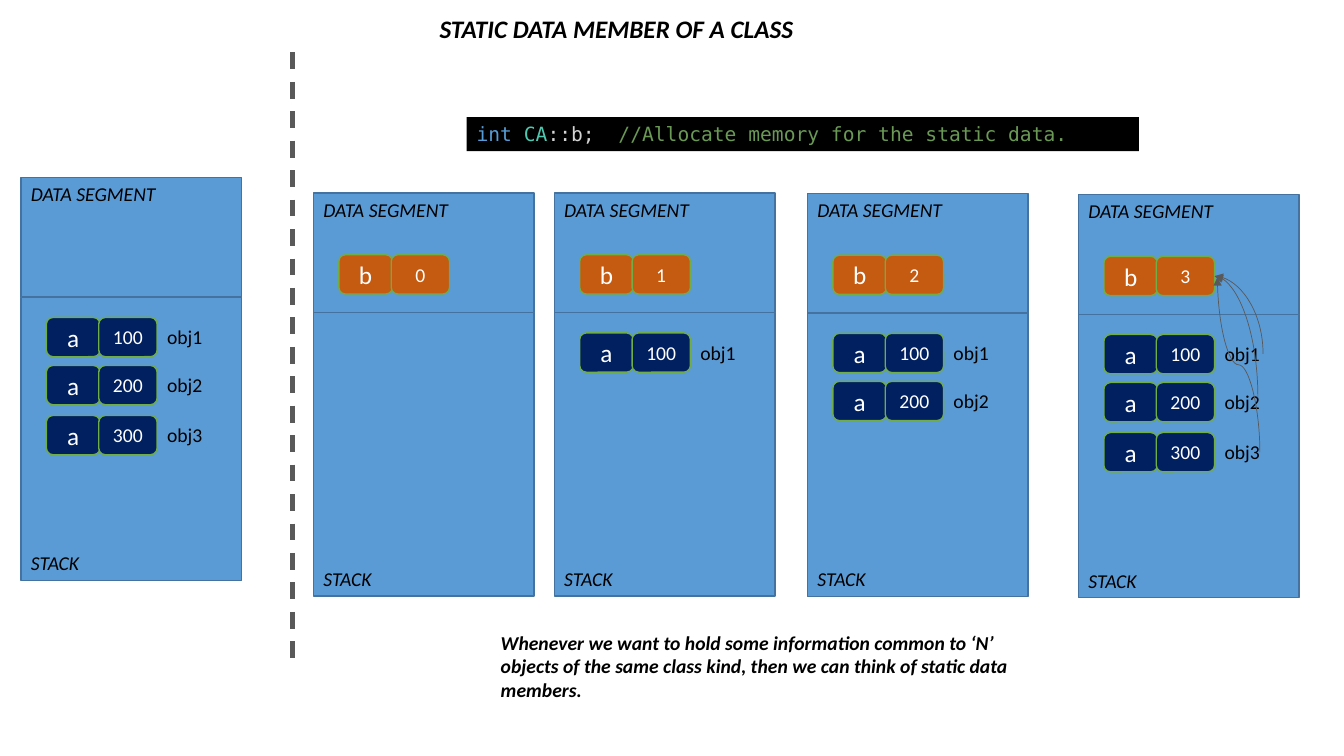
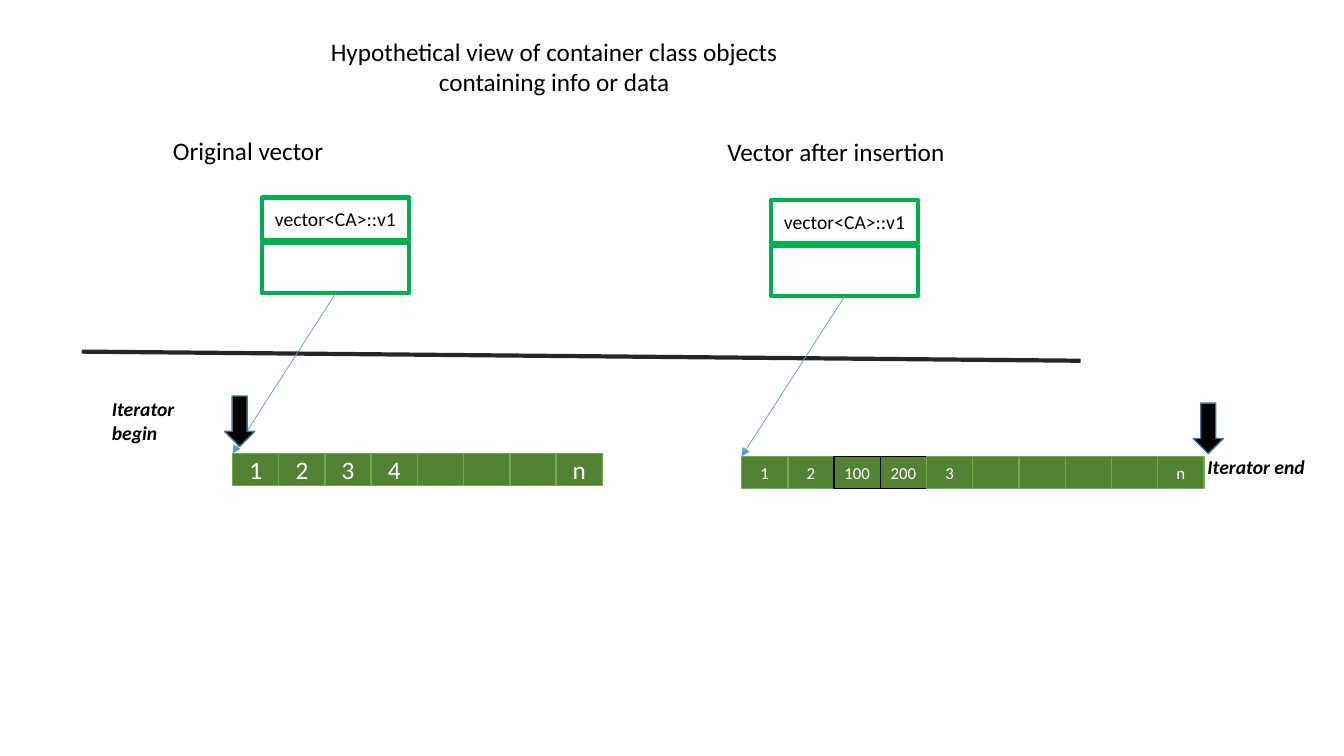
from pptx import Presentation
from pptx.dml.color import RGBColor
from pptx.enum.dml import MSO_LINE
from pptx.enum.shapes import MSO_CONNECTOR, MSO_SHAPE
from pptx.enum.text import MSO_ANCHOR, MSO_AUTO_SIZE, PP_ALIGN
from pptx.oxml.ns import qn
from pptx.util import Cm, Pt
from lxml.etree import SubElement

BLACK = RGBColor(0x00, 0x00, 0x00)
WHITE = RGBColor(0xFF, 0xFF, 0xFF)
BLUE = RGBColor(0x5B, 0x9B, 0xD5)
EDGE = RGBColor(0x43, 0x73, 0x9E)
NAVY = RGBColor(0x00, 0x20, 0x60)
RUST = RGBColor(0xC5, 0x5A, 0x11)
LIME = RGBColor(0x70, 0xAD, 0x47)
GREEN = RGBColor(0x00, 0xB0, 0x50)
MOSS = RGBColor(0x54, 0x82, 0x35)
GRAY = RGBColor(0x59, 0x59, 0x59)
DARK = RGBColor(0x26, 0x26, 0x26)
KEY = RGBColor(0x56, 0x9C, 0xD6)
TYPE = RGBColor(0x4E, 0xC9, 0xB0)
PLAIN = RGBColor(0xD4, 0xD4, 0xD4)
NOTE = RGBColor(0x6A, 0x99, 0x55)

RECT = MSO_SHAPE.RECTANGLE
ROUND = MSO_SHAPE.ROUNDED_RECTANGLE
DOWN = MSO_SHAPE.DOWN_ARROW


class Deck:
    font = "Calibri"
    mono = "DejaVu Sans Mono"

    def __init__(self):
        self.show = Presentation()
        self.show.slide_width = Cm(33.87)
        self.show.slide_height = Cm(19.05)
        self.slide = None

    def style(self, run, size, color, bold=False, slant=False, font=None):
        run.font.name = font or self.font
        run.font.size = Pt(size)
        run.font.color.rgb = color
        run.font.bold = bold
        run.font.italic = slant

    def fill_text(self, shape, text, size, color, align, anchor, bold=False, slant=False):
        frame = shape.text_frame
        frame.word_wrap = True
        frame.auto_size = MSO_AUTO_SIZE.NONE
        frame.vertical_anchor = anchor
        frame.text = text
        for para in frame.paragraphs:
            para.alignment = align
            for run in para.runs:
                self.style(run, size, color, bold, slant)

    def start(self, text, x, y, w, h, bold=False, slant=False):
        self.slide = self.show.slides.add_slide(self.show.slide_layouts[5])
        title = self.slide.shapes.title
        title.left, title.top, title.width, title.height = Cm(x), Cm(y), Cm(w), Cm(h)
        self.fill_text(title, text, 18, BLACK, PP_ALIGN.CENTER, MSO_ANCHOR.TOP, bold, slant)

    def label(self, text, x, y, w, h, size=14, bold=False, slant=False):
        box = self.slide.shapes.add_textbox(Cm(x), Cm(y), Cm(w), Cm(h))
        self.fill_text(box, text, size, BLACK, PP_ALIGN.LEFT, MSO_ANCHOR.TOP, bold, slant)

    def box(self, x, y, w, h, fill, edge=None, text="", size=14, color=WHITE, kind=RECT, width=1):
        shape = self.slide.shapes.add_shape(kind, Cm(x), Cm(y), Cm(w), Cm(h))
        shape.shadow.inherit = False
        shape.fill.solid()
        shape.fill.fore_color.rgb = fill
        if edge is None:
            shape.line.fill.background()
        else:
            shape.line.color.rgb = edge
            shape.line.width = Pt(width)
        if text:
            self.fill_text(shape, text, size, color, PP_ALIGN.CENTER, MSO_ANCHOR.MIDDLE)
        return shape

    def line(self, x1, y1, x2, y2, color, width, kind=MSO_CONNECTOR.STRAIGHT, dash=None, arrow=False):
        link = self.slide.shapes.add_connector(kind, Cm(x1), Cm(y1), Cm(x2), Cm(y2))
        link.line.color.rgb = color
        link.line.width = Pt(width)
        if dash:
            link.line.dash_style = dash
        props = link._element.spPr
        if arrow:
            SubElement(props.find(qn("a:ln")), qn("a:tailEnd"), type="triangle")
        SubElement(props, qn("a:effectLst"))
        return link

    def curve(self, x1, y1, x2, y2, preset):
        mid_x, mid_y = (x1 + x2) / 2, (y1 + y2) / 2
        half_w, half_h = (y1 - y2) / 2, (x1 - x2) / 2
        link = self.line(mid_x - half_w, mid_y + half_h, mid_x + half_w, mid_y - half_h,
                         GRAY, 0.5, MSO_CONNECTOR.CURVE, arrow=True)
        props = link._element.spPr
        props.find(qn("a:xfrm")).set("rot", str(270 * 60000))
        props.find(qn("a:prstGeom")).set("prst", preset)

    def code(self, parts, x, y, w, h):
        frame = self.box(x, y, w, h, BLACK).text_frame
        frame.word_wrap = True
        frame.vertical_anchor = MSO_ANCHOR.TOP
        para = frame.paragraphs[0]
        para.alignment = PP_ALIGN.LEFT
        for text, color in parts:
            run = para.add_run()
            run.text = text
            self.style(run, 14, color, font=self.mono)

    def pair(self, name, value, x, y, fill):
        self.box(x, y, 1.35, 0.99, fill, LIME, name, 18, kind=ROUND)
        self.box(x + 1.32, y, 1.47, 0.99, fill, LIME, value, kind=ROUND)

    def memory(self, x, y, count, shared=None):
        self.box(x, y, 5.56, 3.02, BLUE, EDGE)
        self.box(x, y + 3.02, 5.56, 7.14, BLUE, EDGE)
        self.label("DATA SEGMENT", x, y, 4.29, 0.86, slant=True)
        self.label("STACK", x, y + 9.3, 4.29, 0.86, slant=True)
        if shared:
            self.pair("b", shared, x + 0.64, y + 1.56, RUST)
        for i, drop in enumerate((3.53, 4.74, 6.0)[:count], 1):
            self.pair("a", str(i * 100), x + 0.64, y + drop, NAVY)
            self.label(f"obj{i}", x + 3.43, y + drop + 0.07, 2.13, 0.86)

    def vector(self, x, y, items, size, fresh=()):
        self.box(x, y, 3.71, 1.07, WHITE, GREEN, "vector<CA>::v1", color=BLACK, width=3)
        self.box(x, y + 1.14, 3.71, 1.27, WHITE, GREEN, width=3)
        left, top, step = x - 0.74, y + 6.45, 11.65 / 10
        for i, item in enumerate(items):
            edge = BLACK if item in fresh else LIME
            self.box(left + i * step, top, step, 0.81, MOSS, edge, item, size)
        self.line(x + 1.86, y + 2.41, left, top, BLUE, 0.5, arrow=True)

    def marker(self, x, y):
        self.box(x, y, 0.76, 1.27, BLACK, EDGE, kind=DOWN)


deck = Deck()

deck.start("STATIC DATA MEMBER OF A CLASS", 6.1, 0.2, 18.87, 1.02, True, True)
deck.code([("int ", KEY), ("CA", TYPE), ("::b;", PLAIN),
           (" \u00a0//Allocate memory for the static data.", NOTE)], 11.76, 2.95, 16.94, 0.86)
deck.line(7.37, 1.32, 7.37, 16.64, GRAY, 3, dash=MSO_LINE.DASH)
deck.memory(0.53, 4.47, 3)
for count, (x, y) in enumerate([(7.9, 4.86), (13.97, 4.86), (20.35, 4.87), (27.18, 4.9)]):
    deck.memory(x, y, count, str(count))
deck.curve(31.83, 8.92, 30.61, 6.96, "curvedConnector2")
deck.curve(31.7, 10.03, 30.61, 6.96, "curvedConnector2")
deck.curve(31.75, 11.4, 30.68, 6.99, "curvedConnector3")
deck.label("Whenever we want to hold some information common to ‘N’ objects of the same class kind, "
           "then we can think of static data members.", 12.37, 15.77, 14.33, 2.06, bold=True, slant=True)

deck.start("Hypothetical view of container class objects containing info or data", 7.92, 0.79, 12.09, 1.8)
deck.line(2.06, 8.86, 27.23, 9.09, DARK, 3)
deck.vector(6.6, 4.98, ["1", "2", "3", "4", "", "", "", "n"], 18)
deck.vector(19.43, 5.05, ["1", "2", "100", "200", "3", "", "", "", "", "n"], 12, ("100", "200"))
deck.label("Original vector", 4.11, 3.28, 6.43, 1.02, 18)
deck.label("Vector after insertion", 18.08, 3.3, 6.43, 1.02, 18)
deck.marker(5.66, 9.98)
deck.marker(30.07, 10.16)
deck.label("Iterator begin", 2.57, 9.88, 3.0, 1.45, bold=True, slant=True)
deck.label("Iterator end", 30.18, 11.33, 3.0, 0.86, bold=True, slant=True)

deck.show.save("out.pptx")
